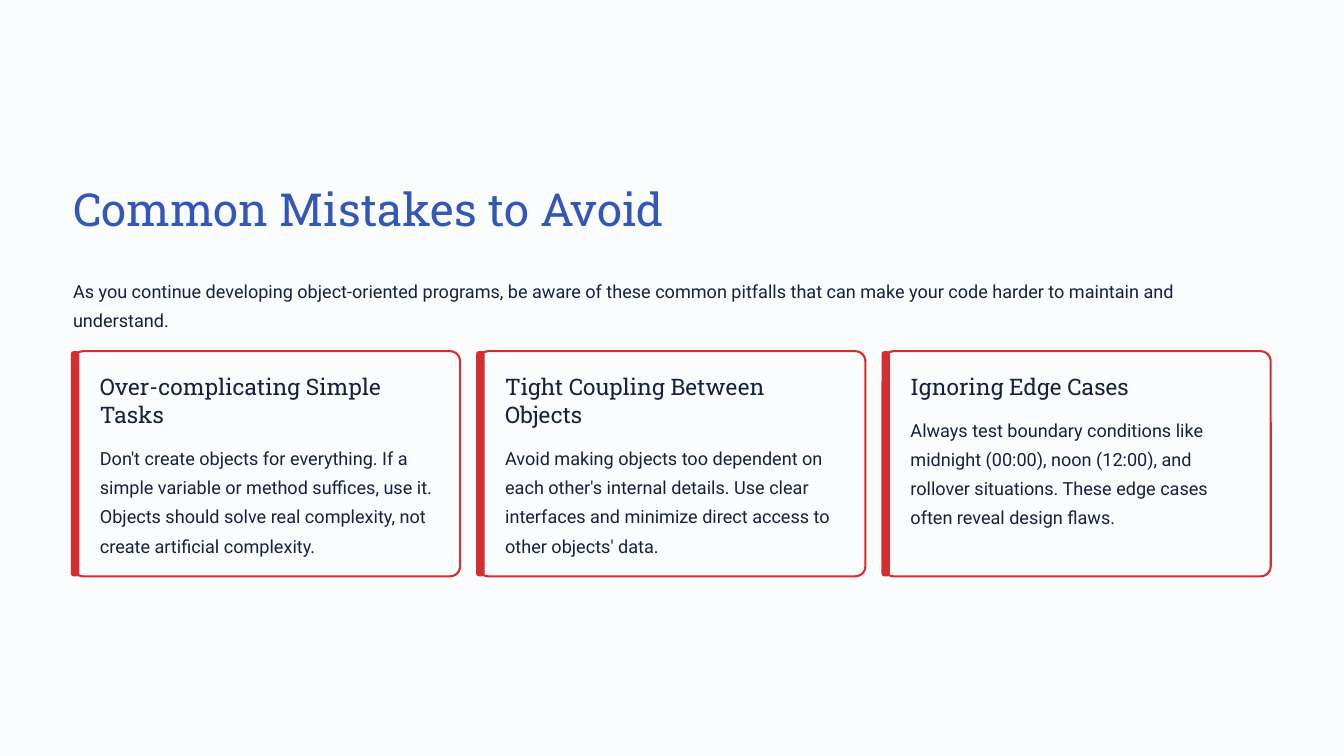
"""Build the slide on common mistakes in object-oriented programs."""
from dataclasses import dataclass

from lxml.etree import SubElement
from pptx import Presentation
from pptx.dml.color import RGBColor
from pptx.enum.shapes import MSO_SHAPE
from pptx.enum.text import MSO_ANCHOR, MSO_AUTO_SIZE, PP_ALIGN
from pptx.oxml.ns import qn
from pptx.util import Pt

PAPER, INK, BLUE, RED = "FBFCFE", "15213F", "3257B8", "D32F2F"
LEFT = 62.6
CARD_TOP, CARD_WIDTH, CARD_HEIGHT, CARD_STEP = 301, 331.8, 193, 347.4
TEXT_INSET, HEADING_TOP, TEXT_WIDTH = 23, 319, 291.6
HEADING_LINE, HEADING_GAP = 24.4, 9.4

FRAME = {
    "margin_left": 0, "margin_top": 0, "margin_right": 0, "margin_bottom": 0,
    "auto_size": MSO_AUTO_SIZE.NONE, "vertical_anchor": MSO_ANCHOR.TOP,
    "word_wrap": True,
}


@dataclass(frozen=True)
class Style:
    font: str
    size: float
    spacing: float
    color: str


@dataclass(frozen=True)
class Card:
    heading: str
    heading_lines: int
    body: str


TITLE = Style("Roboto Slab", 39, 48.5, BLUE)
HEADING = Style("Roboto Slab", 19.5, 24, INK)
BODY = Style("Roboto", 15.5, 25, INK)

CARDS = [
    Card("Over-complicating Simple Tasks", 2,
         "Don't create objects for everything. If a simple variable or method "
         "suffices, use it. Objects should solve real complexity, not create "
         "artificial complexity."),
    Card("Tight Coupling Between Objects", 2,
         "Avoid making objects too dependent on each other's internal details. "
         "Use clear interfaces and minimize direct access to other objects' data."),
    Card("Ignoring Edge Cases", 1,
         "Always test boundary conditions like midnight (00:00), noon (12:00), "
         "and rollover situations. These edge cases often reveal design flaws."),
]


def assign(target, values: dict) -> None:
    for name, value in values.items():
        setattr(target, name, value)


def paint(fill, color: str) -> None:
    fill.solid()
    fill.fore_color.rgb = RGBColor.from_string(color)


def place(box, left: float, top: float, width: float, height: float) -> None:
    assign(box, {"left": Pt(left), "top": Pt(top),
                 "width": Pt(width), "height": Pt(height)})


def write(box, text: str, style: Style) -> None:
    assign(box.text_frame, FRAME)
    para = box.text_frame.paragraphs[0]
    assign(para, {"alignment": PP_ALIGN.LEFT, "line_spacing": Pt(style.spacing),
                  "space_before": Pt(0), "space_after": Pt(0)})
    span = para.add_run()
    span.text = text
    assign(span.font, {"name": style.font, "size": Pt(style.size)})
    paint(span.font.fill, style.color)


def remove_bullet(box) -> None:
    properties = box.text_frame.paragraphs[0]._p.get_or_add_pPr()
    properties.set("marL", "0")
    properties.set("indent", "0")
    SubElement(properties, qn("a:buNone"))


def add_text(page, left: float, top: float, height: float, text: str,
             style: Style) -> None:
    box = page.shapes.add_textbox(Pt(left), Pt(top), Pt(TEXT_WIDTH), Pt(height))
    write(box, text, style)


def add_panel(page, left: float, width: float, rounding: float, color: str):
    panel = page.shapes.add_shape(MSO_SHAPE.ROUNDED_RECTANGLE, Pt(left),
                                  Pt(CARD_TOP), Pt(width), Pt(CARD_HEIGHT))
    panel.adjustments[0] = rounding
    panel.shadow.inherit = False
    paint(panel.fill, color)
    panel.line.fill.background()
    return panel


def add_card(page, card: Card, left: float) -> None:
    panel = add_panel(page, left, CARD_WIDTH, 0.045, PAPER)
    paint(panel.line.fill, RED)
    panel.line.width = Pt(1.8)
    add_panel(page, left - 1.8, 7.2, 0.33, RED)
    text_left = left + TEXT_INSET
    heading_height = card.heading_lines * HEADING_LINE
    add_text(page, text_left, HEADING_TOP, heading_height, card.heading, HEADING)
    body_top = HEADING_TOP + heading_height + HEADING_GAP
    add_text(page, text_left, body_top, 100, card.body, BODY)


def main() -> None:
    deck = Presentation()
    assign(deck, {"slide_width": Pt(1152), "slide_height": Pt(648)})
    page = deck.slides.add_slide(deck.slide_layouts[1])
    paint(page.background.fill, PAPER)

    title, intro = page.placeholders
    place(title, LEFT, 153.4, 1026.7, 49)
    write(title, "Common Mistakes to Avoid", TITLE)
    place(intro, LEFT, 234, 1026.7, 49.7)
    write(intro, "As you continue developing object-oriented programs, be aware of "
          "these common pitfalls that can make your code harder to maintain and "
          "understand.", BODY)
    remove_bullet(intro)

    for index, card in enumerate(CARDS):
        add_card(page, card, LEFT + index * CARD_STEP)
    deck.save("out.pptx")


if __name__ == "__main__":
    main()
